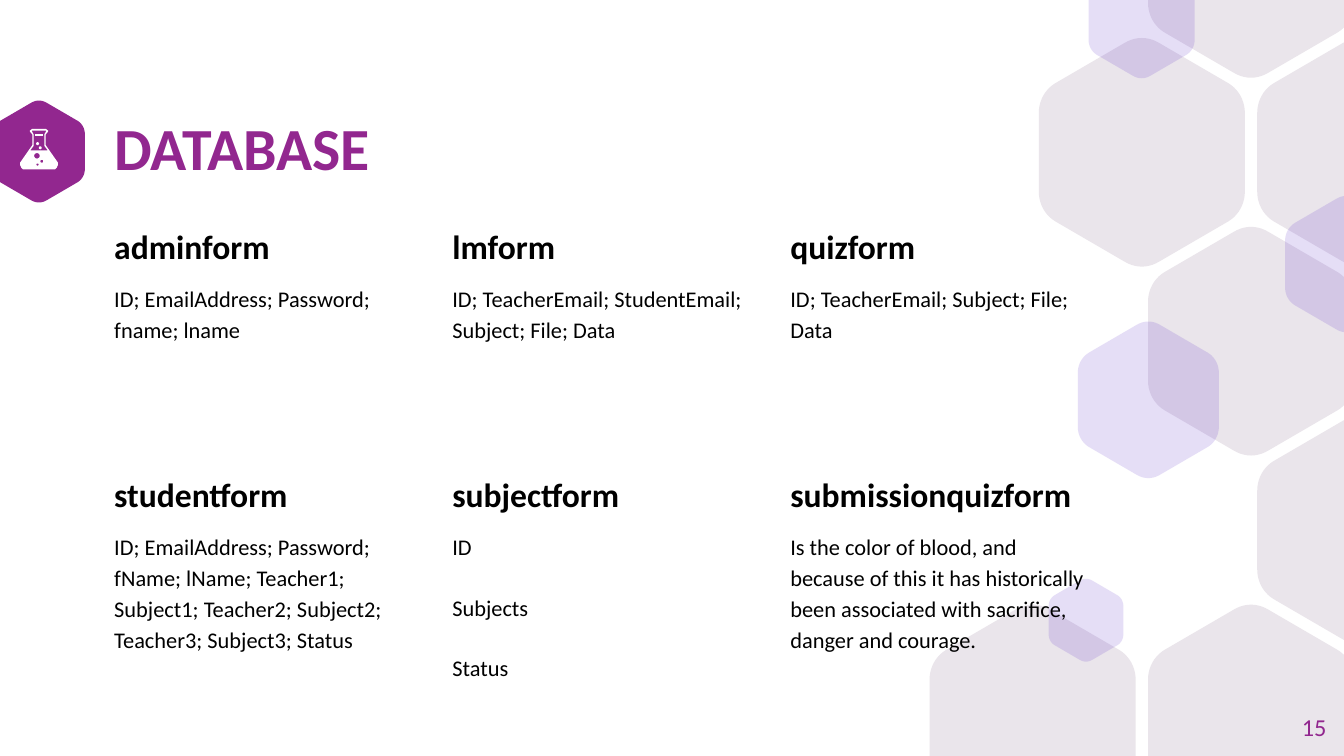
from copy import deepcopy
from dataclasses import dataclass
from math import cos, pi, sin

from lxml import etree
from pptx import Presentation
from pptx.dml.color import RGBColor
from pptx.enum import text
from pptx.oxml import ns
from pptx.util import Pt

PURPLE = RGBColor(0x92, 0x27, 0x8F)
GREY = RGBColor(0xEA, 0xE5, 0xEB)
VIOLET = RGBColor(0x53, 0x22, 0xC9)
WHITE = RGBColor(0xFF, 0xFF, 0xFF)
BLACK = RGBColor(0, 0, 0)
FONT = "Calibri"
SLIDE_WIDTH, SLIDE_HEIGHT = 720, 405
Point = tuple[float, float]
Contour = list[Point]


@dataclass
class Hexagon:
    center_x: float
    center_y: float
    width: float
    color: RGBColor
    opacity: int = 100


@dataclass
class Table:
    name: str
    fields: list[str]
    column: int
    row: int


# Grey honeycomb cells as (half column, row)
HONEYCOMB = [(0, 4), (2, 4), (3, 1), (2, 0), (2, 2), (1, 1), (3, 3)]
HEXAGONS = [Hexagon(20.9, 81.2, 49.2, PURPLE)]
HEXAGONS += [Hexagon(553.2 + 58.5 * column, -19.6 + 101.2 * row, 110.4, GREY)
             for column, row in HONEYCOMB]
HEXAGONS += [
    Hexagon(721.4, 141.5, 65.9, VIOLET, 15),
    Hexagon(581.8, 332.3, 40, VIOLET, 15),
    Hexagon(611.6, 10.4, 56.9, VIOLET, 15),
    Hexagon(615.2, 214.2, 75.6, VIOLET, 15),
]
TABLES = [
    Table("adminform", ["ID; EmailAddress; Password; fname; lname"], 0, 0),
    Table("lmform", ["ID; TeacherEmail; StudentEmail; Subject; File; Data"], 1, 0),
    Table("quizform", ["ID; TeacherEmail; Subject; File; Data"], 2, 0),
    Table("studentform", ["ID; EmailAddress; Password; fName; lName; Teacher1; Subject1; "
                          "Teacher2; Subject2; Teacher3; Subject3; Status"], 0, 1),
    Table("subjectform", ["ID", "Subjects", "Status"], 1, 1),
    Table("submissionquizform", ["Is the color of blood, and because of this it has historically "
                                 "been associated with sacrifice, danger and courage."], 2, 1),
]


def bezier(start: Point, control1: Point, control2: Point, end: Point, steps: int = 10) -> Contour:
    curve = []
    for step in range(steps + 1):
        t = step / steps
        weights = ((1 - t) ** 3, 3 * t * (1 - t) ** 2, 3 * t * t * (1 - t), t ** 3)
        points = (start, control1, control2, end)
        curve.append((sum(w * p[0] for w, p in zip(weights, points)),
                      sum(w * p[1] for w, p in zip(weights, points))))
    return curve


def unit_hexagon() -> Contour:
    """Rounded hexagon of width 1 around the origin."""
    shoulder = bezier((0.5, -0.19), (0.5, -0.25), (0.47, -0.305), (0.42, -0.335))
    peak = bezier((0.085, -0.53), (0.03, -0.563), (-0.03, -0.563), (-0.085, -0.53))
    upper = shoulder + peak + [(-x, y) for x, y in reversed(shoulder)]
    return upper + [(-x, -y) for x, y in upper]


def circle(center_x: float, center_y: float, radius: float) -> Contour:
    angles = [2 * pi * step / 16 for step in range(16)]
    return [(center_x + radius * cos(a), center_y + radius * sin(a)) for a in angles]


def mirrored(axis: float, profile: Contour) -> Contour:
    """Closed outline from (half width, y) pairs."""
    return ([(axis - half, y) for half, y in profile]
            + [(axis + half, y) for half, y in reversed(profile)])


def draw_outline(slide, contours: list[Contour], color: RGBColor, opacity: int = 100) -> None:
    """Draw one filled freeform; inner contours become holes."""
    builder = None
    for contour in contours:
        (start_x, start_y), *rest = [(Pt(x), Pt(y)) for x, y in contour]
        if builder is None:
            builder = slide.shapes.build_freeform(start_x, start_y)
        else:
            builder.move_to(start_x, start_y)
        builder.add_line_segments(rest, close=True)
    shape = builder.convert_to_shape()
    shape.shadow.inherit = False
    shape.line.fill.background()
    shape.fill.solid()
    shape.fill.fore_color.rgb = color
    if opacity < 100:
        color_element = shape.fill._xPr.find(".//" + ns.qn("a:srgbClr"))
        etree.SubElement(color_element, ns.qn("a:alpha"), val=str(opacity * 1000))


def draw_hexagon(slide, hexagon: Hexagon) -> None:
    """Draw a hexagon cut off at the top and bottom of the slide."""
    contour = [(hexagon.center_x + x * hexagon.width,
                min(max(hexagon.center_y + y * hexagon.width, 0), SLIDE_HEIGHT))
               for x, y in unit_hexagon()]
    draw_outline(slide, [contour], hexagon.color, hexagon.opacity)


def draw_flask(slide) -> None:
    axis = 20.9
    glass = mirrored(axis, [(3.8, 69.1), (5, 70.2), (4.5, 71), (3.6, 72), (3.6, 77.8),
                            (10.1, 87.1), (10.1, 88.5), (9.4, 90), (8.6, 90.7)])
    neck = mirrored(axis, [(4, 70), (2.9, 72), (2.9, 78.2), (4.7, 80.6)])
    bubbles = [circle(19.8, 83.5, 1.5), circle(22.4, 86.4, 0.8), circle(20.1, 88.2, 0.6)]
    draw_outline(slide, [glass, neck, *bubbles], WHITE)
    draw_outline(slide, [circle(21.6, 79.2, 0.8)], WHITE)
    draw_outline(slide, [mirrored(axis, [(2.1, 72), (2.1, 72.8)])], WHITE)
    draw_outline(slide, [circle(20.2, 77, 0.8)], WHITE)


def set_attributes(target, values: dict) -> None:
    for name, value in values.items():
        setattr(target, name, value)


def place(shape, left: float, top: float, width: float, height: float, anchor) -> None:
    set_attributes(shape, {"left": Pt(left), "top": Pt(top),
                           "width": Pt(width), "height": Pt(height)})
    set_attributes(shape.text_frame, {
        "margin_left": 0, "margin_right": 0, "margin_top": 0, "margin_bottom": 0,
        "word_wrap": True, "auto_size": text.MSO_AUTO_SIZE.NONE, "vertical_anchor": anchor})


def write(paragraph, words: str, size: float, color: RGBColor, bold: bool = False,
          spacing: float = 1.0, gap: float = 0, alignment=text.PP_ALIGN.LEFT) -> None:
    run = paragraph.add_run()
    run.text = words
    set_attributes(run.font, {"name": FONT, "size": Pt(size), "bold": bold})
    run.font.color.rgb = color
    set_attributes(paragraph, {"alignment": alignment, "line_spacing": spacing,
                               "space_before": Pt(gap), "space_after": Pt(gap)})


def remove_bullet(paragraph) -> None:
    properties = paragraph._p.get_or_add_pPr()
    set_values = {"marL": "0", "indent": "0"}
    properties.attrib.update(set_values)
    etree.SubElement(properties, ns.qn("a:buNone"))


def fill_table(shape, table: Table) -> None:
    place(shape, 61.2 + 181.1 * table.column, 118 + 132.6 * table.row, 163.4, 108,
          text.MSO_ANCHOR.TOP)
    frame = shape.text_frame
    write(frame.paragraphs[0], table.name, 18, BLACK, bold=True, spacing=1.15)
    for field in table.fields:
        write(frame.add_paragraph(), field, 12, BLACK, spacing=1.15, gap=8)
    for paragraph in frame.paragraphs:
        remove_bullet(paragraph)


def add_bodies(slide, count: int) -> list:
    """Bring the title and body to the front and multiply the body."""
    tree = slide.shapes._spTree
    title, body = slide.shapes.title, slide.placeholders[1]
    next_id = max(shape.shape_id for shape in slide.shapes) + 1
    tree.append(title._element)
    tree.append(body._element)
    for offset in range(count - 1):
        element = deepcopy(body._element)
        element.nvSpPr.cNvPr.set("id", str(next_id + offset))
        tree.append(element)
    return list(slide.shapes)[-count:]


def main() -> None:
    presentation = Presentation()
    presentation.slide_width, presentation.slide_height = Pt(SLIDE_WIDTH), Pt(SLIDE_HEIGHT)
    slide = presentation.slides.add_slide(presentation.slide_layouts[1])
    for hexagon in HEXAGONS:
        draw_hexagon(slide, hexagon)
    draw_flask(slide)
    for shape, table in zip(add_bodies(slide, len(TABLES)), TABLES):
        fill_table(shape, table)
    title = slide.shapes.title
    place(title, 61.2, 65.5, 525.6, 31, text.MSO_ANCHOR.MIDDLE)
    write(title.text_frame.paragraphs[0], "DATABASE", 32, PURPLE, bold=True, spacing=0.9)
    number = slide.shapes.add_textbox(0, 0, 0, 0)
    place(number, 667.4, 373.7, 43.2, 31, text.MSO_ANCHOR.MIDDLE)
    write(number.text_frame.paragraphs[0], "15", 13, PURPLE, alignment=text.PP_ALIGN.RIGHT)
    presentation.save("out.pptx")


if __name__ == "__main__":
    main()
